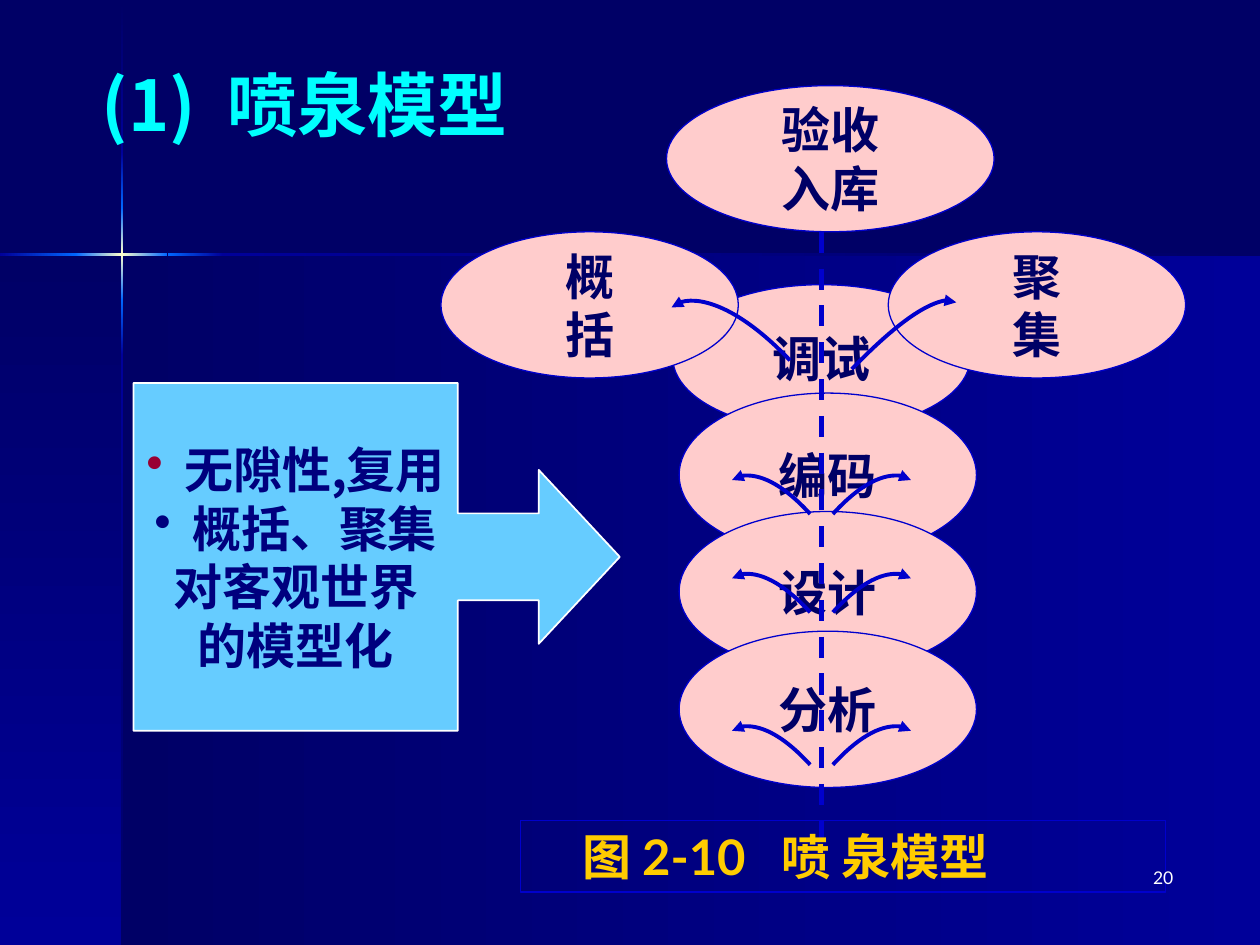
from copy import deepcopy

from lxml import etree
from pptx import Presentation
from pptx.dml.color import RGBColor
from pptx.enum.dml import MSO_LINE
from pptx.enum.shapes import MSO_CONNECTOR, MSO_SHAPE
from pptx.enum.text import MSO_ANCHOR, MSO_AUTO_SIZE, PP_ALIGN
from pptx.oxml.ns import qn
from pptx.util import Inches, Pt

RECT, OVAL = MSO_SHAPE.RECTANGLE, MSO_SHAPE.OVAL
CALLOUT = MSO_SHAPE.RIGHT_ARROW_CALLOUT
LEFT, CENTER, RIGHT = PP_ALIGN.LEFT, PP_ALIGN.CENTER, PP_ALIGN.RIGHT
TOP, MIDDLE = MSO_ANCHOR.TOP, MSO_ANCHOR.MIDDLE

NAVY = RGBColor(0x00, 0x00, 0x66)
DEEP = RGBColor(0x00, 0x00, 0x99)
BRIGHT = RGBColor(0x00, 0x66, 0xFF)
GLOW = RGBColor(0xFF, 0xFF, 0xCC)
BLUE = RGBColor(0x00, 0x00, 0xCC)
PINK = RGBColor(0xFF, 0xCC, 0xCC)
SKY = RGBColor(0x66, 0xCC, 0xFF)
INK = RGBColor(0x00, 0x00, 0x7E)
WINE = RGBColor(0x99, 0x00, 0x33)
CYAN = RGBColor(0x00, 0xFF, 0xFF)
GOLD = RGBColor(0xFF, 0xCC, 0x00)
WHITE = RGBColor(0xFF, 0xFF, 0xFF)

# Background panels: box, vertical gradient?, colours from left or top
PANELS = [
    ((0.97, 2.02, 9.03, 5.48), False, (NAVY, DEEP)),
    ((0, 2.02, 0.97, 5.48), True, (NAVY, DEEP)),
]
# Glowing cross: start, end and colours of each piece
VERTICAL_BAR = [
    (0.01, 1.21, (NAVY, DEEP)),
    (2.82, 7.5, (DEEP, NAVY)),
    (2.38, 2.82, (BRIGHT, DEEP)),
    (1.21, 1.65, (DEEP, BRIGHT)),
    (1.65, 2.38, (BRIGHT, GLOW, BRIGHT)),
]
HORIZONTAL_BAR = [
    (1.77, 10, (DEEP, NAVY)),
    (0, 0.61, (DEEP, BRIGHT)),
    (1.33, 1.77, (BRIGHT, DEEP)),
    (0.6, 1.33, (BRIGHT, GLOW, BRIGHT)),
]
BAR_AT, BAR_WIDTH = (0.96, 2.01), 0.02

STAGES = [
    (["调试"], (5.34, 2.26, 2.36, 1.16)),
    (["验收", "入库"], (5.29, 0.68, 2.6, 1.16)),
    (["概", "括"], (3.5, 1.84, 2.36, 1.16)),
    (["聚", "集"], (7.05, 1.84, 2.36, 1.16)),
    (["编码"], (5.39, 3.12, 2.36, 1.3)),
    (["设计"], (5.39, 4.06, 2.36, 1.27)),
    (["分析"], (5.39, 5.01, 2.36, 1.24)),
]

# Curved arrows: start, two control points, end
TOP_JETS = [
    [(6.76, 2.93), (7.13, 2.55), (7.5, 2.31), (7.59, 2.4)],
    [(6.27, 2.86), (5.91, 2.48), (5.48, 2.29), (5.33, 2.44)],
]
JET_CENTER = 6.52
JET_STARTS = [4.08, 4.86, 6.07]
JET_OFFSETS = [(0.09, 0), (0.32, -0.25), (0.6, -0.37), (0.71, -0.27)]

FEATURES = [("无隙性,复用", WINE), ("概括、聚集", INK), ("对客观世界", None), ("的模型化", None)]
BULLET_INDENT = 0.3

STAGE_FONT = {"name": "Lato", "size": Pt(28), "bold": True}
TITLE_FONT = {"name": "Noto Sans CJK JP", "size": Pt(40), "bold": True}
FEATURE_FONT = {"name": "Noto Sans CJK SC", "size": Pt(28), "bold": True}
NUMBER_FONT = {"name": "Lato", "size": Pt(10)}


def inches(values):
    return [Inches(v) for v in values]


def add_shape(kind, box, fill=None, line=None, width=0.75):
    s = slide.shapes.add_shape(kind, *inches(box))
    s.shadow.inherit = False
    if fill is None:
        s.fill.background()
    else:
        s.fill.solid()
        s.fill.fore_color.rgb = fill
    if line is None:
        s.line.fill.background()
    else:
        s.line.color.rgb = line
        s.line.width = Pt(width)
    return s


def add_gradient(box, vertical, colors):
    s = add_shape(RECT, box)
    s.fill.gradient()
    s.fill.gradient_angle = 270 if vertical else 0
    stops = s._element.spPr.find(".//" + qn("a:gsLst"))
    for _ in colors[2:]:
        stops.insert(1, deepcopy(stops[0]))
    for i, (stop, color) in enumerate(zip(s.fill.gradient_stops, colors)):
        stop.position = i / (len(colors) - 1)
        stop.color.rgb = color


def write(s, lines, font, color, align=LEFT, anchor=TOP, wrap=False):
    tf = s.text_frame
    tf.word_wrap = wrap
    tf.vertical_anchor = anchor
    for i, text in enumerate(lines):
        p = tf.paragraphs[0] if i == 0 else tf.add_paragraph()
        p.alignment = align
        r = p.add_run()
        r.text = text
        for key, value in font.items():
            setattr(r.font, key, value)
        r.font.color.rgb = color
        ea = etree.SubElement(r._r.get_or_add_rPr(), qn("a:ea"))
        ea.set("typeface", "Noto Sans CJK SC")
    return tf


def set_indent(p, left, first=0):
    pPr = p._p.get_or_add_pPr()
    pPr.set("marL", str(Inches(left)))
    pPr.set("indent", str(Inches(first)))
    return pPr


def add_bullet(p, color):
    pPr = set_indent(p, BULLET_INDENT, -BULLET_INDENT)
    clr = etree.SubElement(pPr, qn("a:buClr"))
    etree.SubElement(clr, qn("a:srgbClr")).set("val", str(color))
    etree.SubElement(pPr, qn("a:buChar")).set("char", "•")


def add_jet(points):
    start, *rest = [inches(point) for point in points]
    builder = slide.shapes.build_freeform(*start)
    builder.add_line_segments(rest, close=False)
    s = builder.convert_to_shape()
    s.shadow.inherit = False
    s.fill.background()
    s.line.color.rgb = BLUE
    s.line.width = Pt(2.25)
    # Turn the three segments into one Bezier curve
    outline = s._element.spPr.find(".//" + qn("a:path"))
    curve = etree.SubElement(outline, qn("a:cubicBezTo"))
    for segment in outline.findall(qn("a:lnTo")):
        curve.append(segment[0])
        outline.remove(segment)
    etree.SubElement(s.line._get_or_add_ln(), qn("a:tailEnd")).set("type", "triangle")


prs = Presentation()
prs.slide_width, prs.slide_height = Inches(10), Inches(7.5)
slide = prs.slides.add_slide(prs.slide_layouts[6])
slide.background.fill.solid()
slide.background.fill.fore_color.rgb = NAVY

# Background
for panel in PANELS:
    add_gradient(*panel)
for start, end, colors in VERTICAL_BAR:
    add_gradient((BAR_AT[0], start, BAR_WIDTH, end - start), True, colors)
for start, end, colors in HORIZONTAL_BAR:
    add_gradient((start, BAR_AT[1], end - start, BAR_WIDTH), False, colors)

# Fountain stages
for lines, box in STAGES:
    write(add_shape(OVAL, box, PINK, BLUE), lines, STAGE_FONT, NAVY, CENTER, MIDDLE)

# Dashed stem
stem = slide.shapes.add_connector(MSO_CONNECTOR.STRAIGHT, *inches((JET_CENTER, 1.84, JET_CENTER, 6.75)))
stem.line.color.rgb = BLUE
stem.line.width = Pt(3)
stem.line.dash_style = MSO_LINE.DASH
etree.SubElement(stem._element.spPr, qn("a:effectLst"))

# Water jets, mirrored about the stem
for points in TOP_JETS:
    add_jet(points)
for y in JET_STARTS:
    for side in (1, -1):
        add_jet([(JET_CENTER + side * dx, y + dy) for dx, dy in JET_OFFSETS])

# Caption
caption = add_shape(RECT, (4.13, 6.51, 5.12, 0.57), line=BLUE)
tf = write(caption, ["图 2-10   喷 泉模型"], STAGE_FONT, GOLD, wrap=True)
tf.margin_left = tf.margin_right = Inches(0.05)
set_indent(tf.paragraphs[0], 0.44)

# Title
title = slide.shapes.add_textbox(*inches((0.71, 0.44, 3.55, 0.77)))
write(title, ["(1)  喷泉模型"], TITLE_FONT, CYAN).auto_size = MSO_AUTO_SIZE.SHAPE_TO_FIT_TEXT

# Feature callout
callout = add_shape(CALLOUT, (1.06, 3.04, 3.86, 2.76), SKY, WHITE, 1)
for i, value in enumerate((0.25, 0.25, 0.233, 0.667)):
    callout.adjustments[i] = value
tf = write(callout, [text for text, _ in FEATURES], FEATURE_FONT, INK, CENTER, MIDDLE)
for p, (_, bullet) in zip(tf.paragraphs, FEATURES):
    if bullet is not None:
        add_bullet(p, bullet)

# Slide number
number = slide.shapes.add_textbox(*inches((7.33, 6.83, 2.08, 0.5)))
write(number, ["20"], NUMBER_FONT, WHITE, RIGHT, wrap=True)

prs.save("out.pptx")
